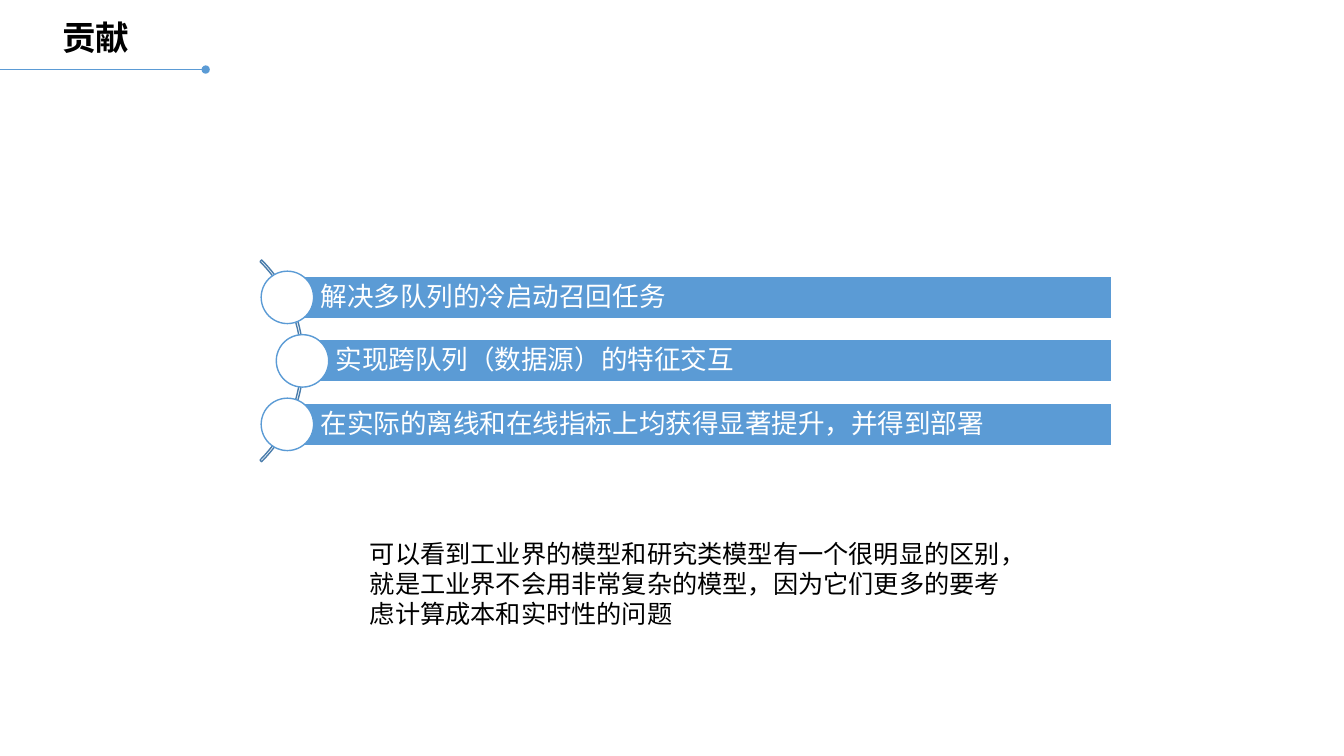
from lxml import etree
from pptx import Presentation
from pptx.dml.color import RGBColor
from pptx.enum import shapes, text
from pptx.oxml import ns
from pptx.util import Inches, Pt

BLUE = RGBColor(0x5B, 0x9B, 0xD5)
ARC_BLUE = RGBColor(0x49, 0x7C, 0xAB)
WHITE = RGBColor(0xFF, 0xFF, 0xFF)
BLACK = RGBColor(0, 0, 0)
CJK_FONT = "Noto Sans CJK SC"

CONTRIBUTIONS = [
    "解决多队列的冷启动召回任务",
    "实现跨队列（数据源）的特征交互",
    "在实际的离线和在线指标上均获得显著提升，并得到部署",
]
REMARK = "可以看到工业界的模型和研究类模型有一个很明显的区别，就是工业界不会用非常复杂的模型，因为它们更多的要考虑计算成本和实时性的问题"


def write(tf, content, size, color, font="Calibri", bold=False):
    tf.word_wrap = True
    p = tf.paragraphs[0]
    p.text = content
    p.alignment = text.PP_ALIGN.LEFT
    p.font.size = Pt(size)
    p.font.bold = bold
    p.font.color.rgb = color
    p.font.name = font
    props = p._p.pPr.find(ns.qn("a:defRPr"))
    etree.SubElement(props, ns.qn("a:ea")).set("typeface", CJK_FONT)
    return p


def add_text(s, x, y, w, h, content, size, **style):
    box = s.shapes.add_textbox(Inches(x), Inches(y), Inches(w), Inches(h))
    write(box.text_frame, content, size, BLACK, **style)


def add_shape(s, kind, x, y, w, h, line, fill=None):
    sp = s.shapes.add_shape(kind, Inches(x), Inches(y), Inches(w), Inches(h))
    sp.shadow.inherit = False
    if fill is None:
        sp.fill.background()
    else:
        sp.fill.solid()
        sp.fill.fore_color.rgb = fill
    sp.line.color.rgb = line
    sp.line.width = Pt(1)
    return sp


def add_header(s, x, y, w, h):
    rule = s.shapes.add_connector(
        shapes.MSO_CONNECTOR.STRAIGHT,
        Inches(x), Inches(y + h), Inches(x + w), Inches(y + h))
    rule.line.color.rgb = BLUE
    rule.line.width = Pt(1)
    etree.SubElement(rule.line._get_or_add_ln(), ns.qn("a:tailEnd")).set("type", "oval")
    etree.SubElement(rule._element.spPr, ns.qn("a:effectLst"))
    add_text(s, x + 0.52, y + 0.12, 2.17, 0.5, "贡献", 24, font=CJK_FONT, bold=True)


def add_contributions(s, x, y, w, h):
    bar_h, dot, arc_size, bulge = 0.42, 0.52, 2.83, 0.15
    arc = add_shape(s, shapes.MSO_SHAPE.BLOCK_ARC, x - 2.41, y + (h - arc_size) / 2,
                    arc_size, arc_size, ARC_BLUE)
    for i, value in enumerate((189, 27, 0.008)):
        arc.adjustments[i] = value
    step = (h - dot) / (len(CONTRIBUTIONS) - 1)
    for i, item in enumerate(CONTRIBUTIONS):
        left = x + bulge * (i % 2)
        top = y + i * step
        bar_x = left + dot / 2
        bar = add_shape(s, shapes.MSO_SHAPE.RECTANGLE, bar_x, top + (dot - bar_h) / 2,
                        x + w - bar_x, bar_h, WHITE, BLUE)
        tf = bar.text_frame
        tf.margin_left = Inches(0.33)
        tf.margin_top = tf.margin_right = tf.margin_bottom = Inches(0.05)
        tf.vertical_anchor = text.MSO_ANCHOR.MIDDLE
        write(tf, item, 19, WHITE).line_spacing = 0.9
        add_shape(s, shapes.MSO_SHAPE.OVAL, left, top, dot, dot, BLUE, WHITE)


def main():
    prs = Presentation()
    prs.slide_width, prs.slide_height = Inches(13.33), Inches(7.5)
    s = prs.slides.add_slide(prs.slide_layouts[6])
    add_header(s, 0, 0, 2.04, 0.69)
    add_contributions(s, 2.59, 2.69, 8.44, 1.78)
    add_text(s, 3.57, 5.29, 6.67, 1.01, REMARK, 18)
    prs.save("out.pptx")


if __name__ == "__main__":
    main()
